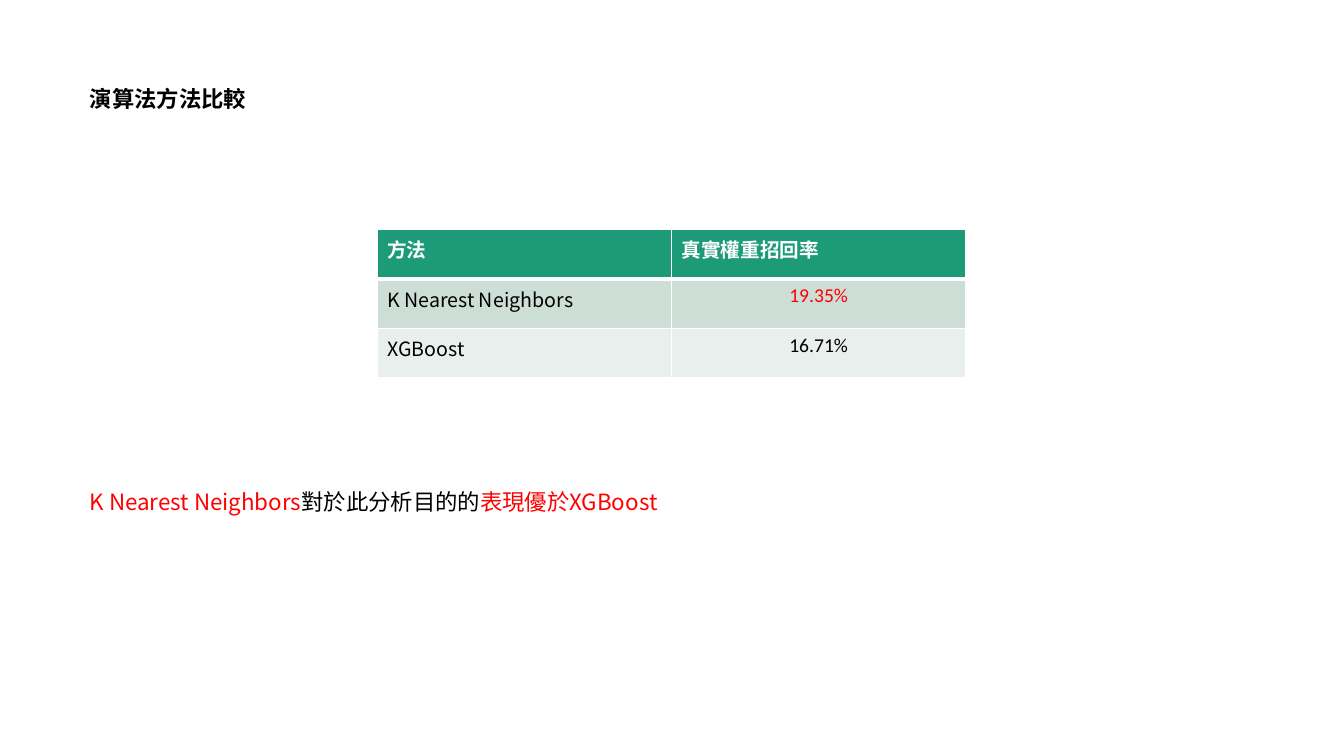
"""Build a slide that compares the recall of two algorithms."""
from dataclasses import dataclass

from lxml import etree
from pptx import Presentation
from pptx.dml.color import RGBColor
from pptx.enum.text import MSO_ANCHOR, MSO_AUTO_SIZE, PP_ALIGN
from pptx.oxml.ns import qn
from pptx.util import Inches, Pt

LEFT, CENTER = PP_ALIGN.LEFT, PP_ALIGN.CENTER
MIDDLE = MSO_ANCHOR.MIDDLE
FIXED = MSO_AUTO_SIZE.NONE


@dataclass(frozen=True)
class Theme:
    ink: str = "000000"
    white: str = "FFFFFF"
    red: str = "FF0000"
    head: str = "1D9A78"
    bands: tuple = ("CDDED6", "E8EFEC")
    text: str = "Noto Sans CJK SC"
    plain: str = "Calibri"
    large: int = 16
    small: int = 14


theme = Theme()


def style(para, size, face, color, bold=False, align=LEFT):
    para.alignment = align
    font = para.font
    font.size, font.name, font.bold = Pt(size), face, bold
    font.color.rgb = RGBColor.from_string(color)
    base = para._p.pPr.find(qn("a:defRPr"))
    etree.SubElement(base, qn("a:ea"), typeface=theme.text)


def border(cell, side, width):
    line = etree.SubElement(cell._tc.get_or_add_tcPr(), qn(f"a:{side}"), w=str(Pt(width)))
    fill = etree.SubElement(line, qn("a:solidFill"))
    etree.SubElement(fill, qn("a:srgbClr"), val=theme.white)


deck = Presentation()
deck.slide_width, deck.slide_height = Inches(13.33), Inches(7.5)
slide = deck.slides.add_slide(deck.slide_layouts[1])
title, body = slide.placeholders

title.text_frame.text = "演算法方法比較"
claim = body.text_frame.paragraphs[0]
for words, color in (
    ("K Nearest Neighbors", theme.red),
    ("對於此分析目的的", theme.ink),
    ("表現優於XGBoost", theme.red),
):
    run = claim.add_run()
    run.text = words
    run.font.color.rgb = RGBColor.from_string(color)

for box, top, bold in ((title, 0.78, True), (body, 4.78, False)):
    box.left, box.top = Inches(0.79), Inches(top)
    box.width, box.height = Inches(11.67), Inches(0.4)
    frame = box.text_frame
    frame.auto_size, frame.vertical_anchor = FIXED, MIDDLE
    para = frame.paragraphs[0]
    style(para, theme.large, theme.text, theme.ink, bold)
    para.space_before = Pt(0)

props = claim._p.pPr
props.set("marL", "0")
props.set("indent", "0")
props.find(qn("a:defRPr")).addprevious(etree.Element(qn("a:buNone")))

rows = (
    ("方法", "真實權重招回率"),
    ("K Nearest Neighbors", "19.35%"),
    ("XGBoost", "16.71%"),
)
wide, high = 2.92, 0.49
table = slide.shapes.add_table(
    len(rows), 2, Inches(3.74), Inches(2.28), Inches(2 * wide), Inches(len(rows) * high)
).table
for r, row in enumerate(rows):
    for c, words in enumerate(row):
        cell = table.cell(r, c)
        cell.text = words
        para = cell.text_frame.paragraphs[0]
        if r == 0:
            shade = theme.head
            style(para, theme.small, theme.plain, theme.white, True)
        else:
            shade = theme.bands[r - 1]
            face = theme.plain if c else theme.text
            color = theme.red if (r, c) == (1, 1) else theme.ink
            style(para, theme.small, face, color, align=CENTER if c else LEFT)
        for side in ("lnL", "lnR", "lnT", "lnB"):
            thick = (r, side) in ((0, "lnB"), (1, "lnT"))
            border(cell, side, 3 if thick else 1)
        cell.fill.solid()
        cell.fill.fore_color.rgb = RGBColor.from_string(shade)

deck.save("out.pptx")
